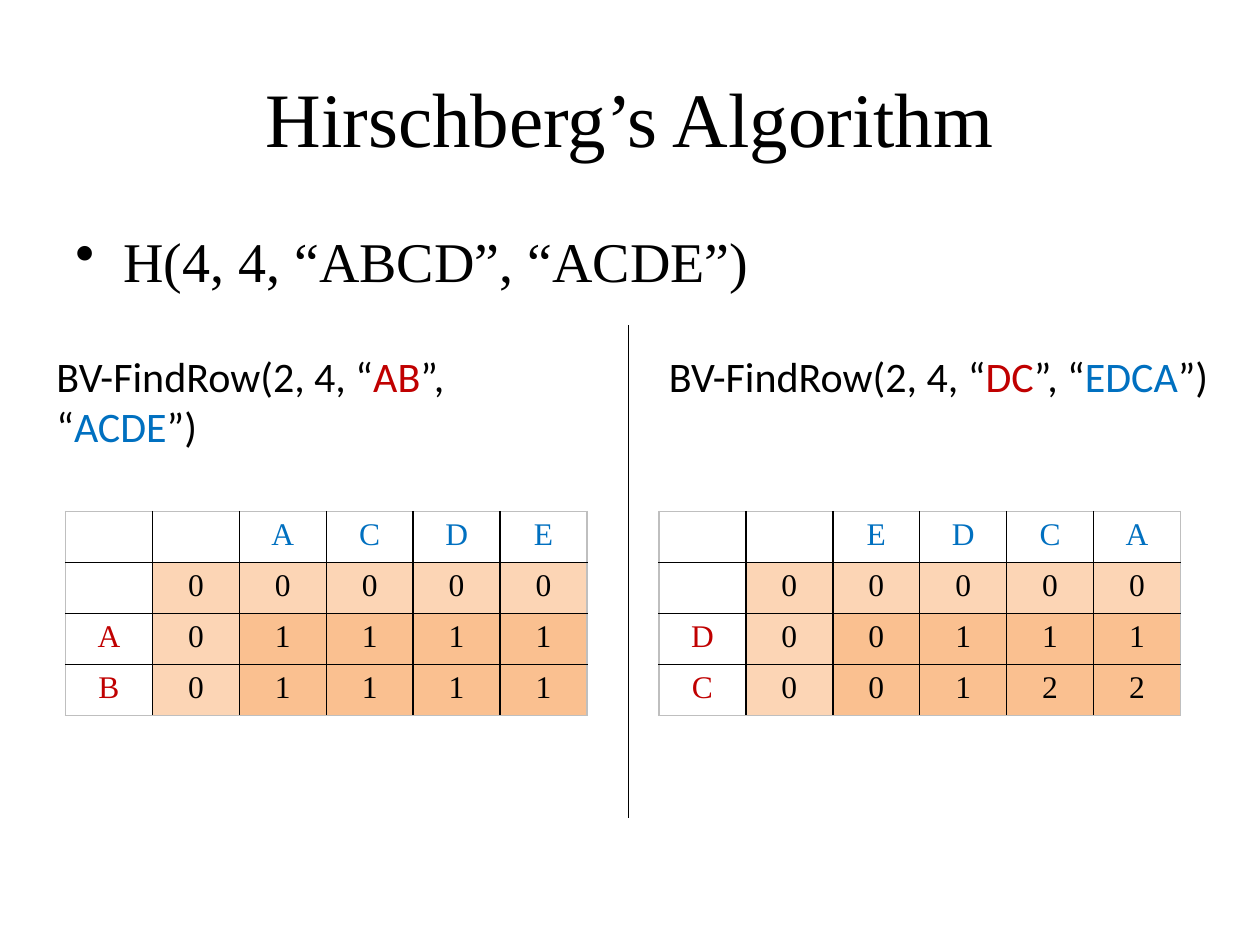
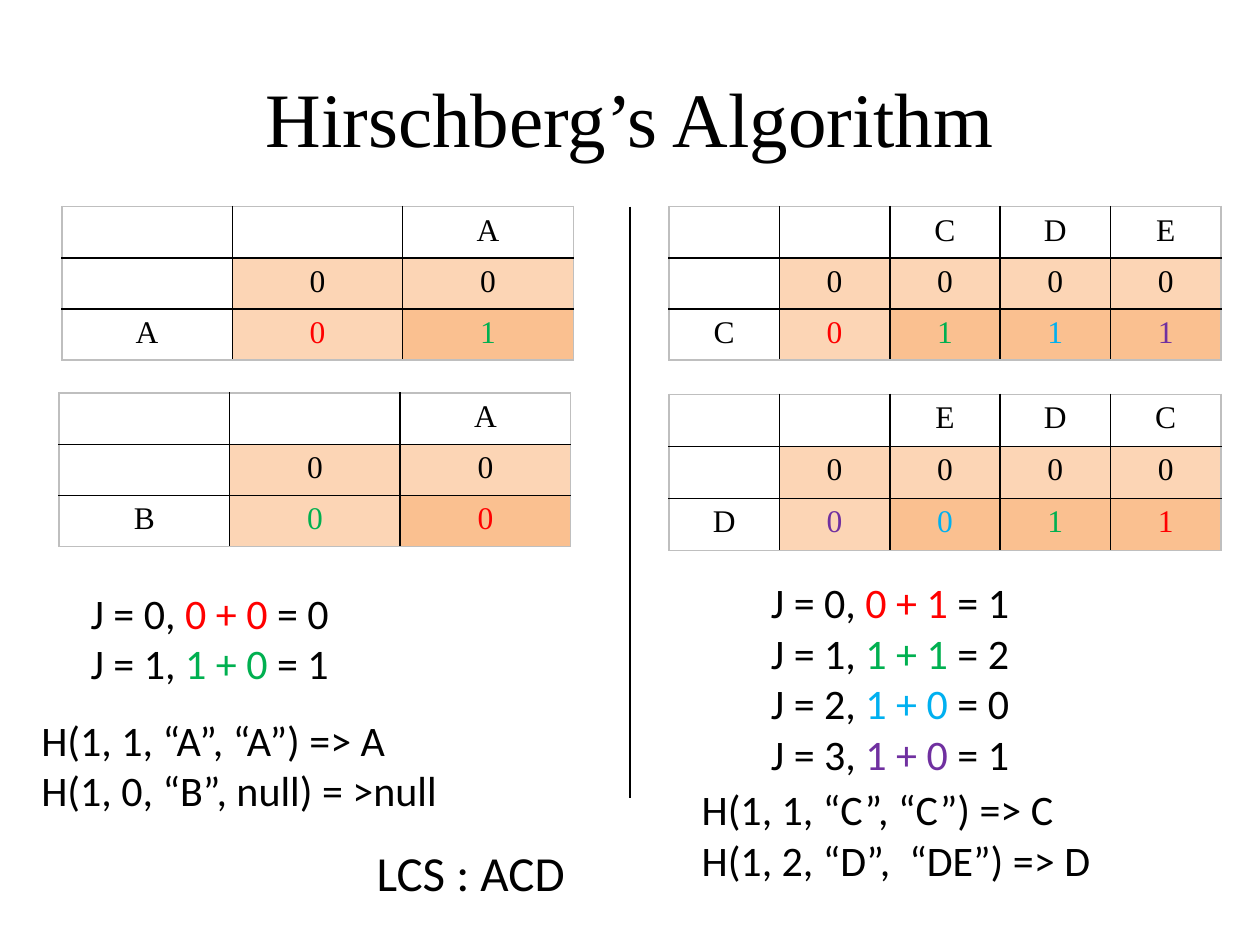
from dataclasses import dataclass

import lxml.etree
import pptx
import pptx.dml.color
import pptx.enum.shapes
import pptx.enum.text
import pptx.oxml.ns
import pptx.presentation
import pptx.slide
import pptx.table
import pptx.text.text
import pptx.util
from pptx.util import Inches

COLORS = {
    "black": "000000",
    "white": "FFFFFF",
    "frame": "BFBFBF",
    "base": "FCD5B5",
    "score": "FAC090",
    "blue": "0070C0",
    "crimson": "C00000",
    "red": "FF0000",
    "green": "00B050",
    "sky": "00B0F0",
    "purple": "7030A0",
}
STEP_COLORS = ("red", "green", "sky", "purple")
SERIF = "Times New Roman"
SANS = "Calibri"
ALIGN = pptx.enum.text.PP_ALIGN
ANCHOR = pptx.enum.text.MSO_ANCHOR

Line = tuple[tuple[str, str], ...]


@dataclass(frozen=True)
class Note:
    left: float
    top: float
    width: float
    height: float
    lines: tuple[Line, ...]
    size: int = 24
    font: str = SANS
    wrap: bool = False
    align: ALIGN = ALIGN.LEFT
    anchor: ANCHOR = ANCHOR.TOP
    bullet: bool = False


@dataclass(frozen=True)
class ScoreGrid:
    left: float
    top: float
    width: float
    height: float
    columns: str
    scores: tuple[tuple[str, str], ...]
    column_color: str = "black"
    label_color: str = "black"
    score_colors: tuple[str, ...] = ()


@dataclass(frozen=True)
class Divider:
    x: float
    top: float
    bottom: float


def rgb(color: str) -> pptx.dml.color.RGBColor:
    return pptx.dml.color.RGBColor.from_string(COLORS[color])


def plain(text: str) -> Line:
    return ((text, "black"),)


def call_line(rows: str, columns: str) -> Line:
    return (
        ("BV-FindRow(2, 4, “", "black"),
        (rows, "crimson"),
        ("”, “", "black"),
        (columns, "blue"),
        ("”)", "black"),
    )


def sum_lines(*sums: tuple[str, int]) -> tuple[Line, ...]:
    return tuple(
        ((f"J = {j}, ", "black"), (f"{terms} ", STEP_COLORS[j]), (f"= {total}", "black"))
        for j, (terms, total) in enumerate(sums)
    )


def style_font(font: pptx.text.text.Font, name: str, size: int, color: str) -> None:
    font.name = name
    font.size = pptx.util.Pt(size)
    font.color.rgb = rgb(color)


def add_bullet(paragraph: pptx.text.text._Paragraph) -> None:
    properties = paragraph._p.get_or_add_pPr()
    properties.set("marL", str(Inches(0.38)))
    properties.set("indent", str(Inches(-0.38)))
    mark = lxml.etree.SubElement(properties, pptx.oxml.ns.qn("a:buChar"))
    mark.set("char", "•")


def add_note(slide: pptx.slide.Slide, note: Note) -> None:
    box = slide.shapes.add_textbox(
        Inches(note.left), Inches(note.top), Inches(note.width), Inches(note.height)
    )
    frame = box.text_frame
    frame.word_wrap = note.wrap
    frame.vertical_anchor = note.anchor
    for index, line in enumerate(note.lines):
        paragraph = frame.add_paragraph() if index else frame.paragraphs[0]
        if note.bullet:
            add_bullet(paragraph)
        paragraph.alignment = note.align
        for text, color in line:
            run = paragraph.add_run()
            run.text = text
            style_font(run.font, note.font, note.size, color)


def add_border(cell: pptx.table._Cell, side: str, color: str) -> None:
    qn = pptx.oxml.ns.qn
    border = lxml.etree.SubElement(cell._tc.get_or_add_tcPr(), qn(f"a:ln{side}"))
    border.set("w", str(pptx.util.Pt(1)))
    fill = lxml.etree.SubElement(border, qn("a:solidFill"))
    lxml.etree.SubElement(fill, qn("a:srgbClr")).set("val", COLORS[color])


def cell_colors(grid: ScoreGrid, row: int, column: int) -> tuple[str, str]:
    if row == 0:
        return grid.column_color, "white"
    if column == 0:
        return grid.label_color, "white"
    fill = "base" if row == 1 or column == 1 else "score"
    if row > 1 and grid.score_colors:
        return grid.score_colors[column - 1], fill
    return "black", fill


def add_grid(slide: pptx.slide.Slide, grid: ScoreGrid) -> None:
    texts = [
        ["", "", *grid.columns],
        ["", *"0" * (len(grid.columns) + 1)],
        *([label, *values] for label, values in grid.scores),
    ]
    last_row, last_column = len(texts) - 1, len(texts[0]) - 1
    table = slide.shapes.add_table(
        len(texts), len(texts[0]),
        Inches(grid.left), Inches(grid.top), Inches(grid.width), Inches(grid.height),
    ).table
    table.first_row = False
    table.horz_banding = False
    for row, values in enumerate(texts):
        for column, text in enumerate(values):
            cell = table.cell(row, column)
            edges = {
                "L": column == 0,
                "R": column == last_column,
                "T": row == 0,
                "B": row == last_row,
            }
            for side, outer in edges.items():
                add_border(cell, side, "frame" if outer else "black")
            color, fill = cell_colors(grid, row, column)
            cell.fill.solid()
            cell.fill.fore_color.rgb = rgb(fill)
            paragraph = cell.text_frame.paragraphs[0]
            paragraph.text = text
            paragraph.alignment = ALIGN.CENTER
            for run in paragraph.runs:
                style_font(run.font, SERIF, 18, color)


def add_divider(slide: pptx.slide.Slide, divider: Divider) -> None:
    connector = slide.shapes.add_connector(
        pptx.enum.shapes.MSO_CONNECTOR.STRAIGHT,
        Inches(divider.x), Inches(divider.top), Inches(divider.x), Inches(divider.bottom),
    )
    connector.line.color.rgb = rgb("black")
    connector.line.width = pptx.util.Pt(0.75)
    lxml.etree.SubElement(connector._element.spPr, pptx.oxml.ns.qn("a:effectLst"))


TITLE = Note(0.5, 0.3, 9, 1.25, (plain("Hirschberg’s Algorithm"),), 44, SERIF,
             wrap=True, align=ALIGN.CENTER, anchor=ANCHOR.MIDDLE)

SPLIT_GRIDS = (
    ScoreGrid(0.52, 4.06, 4.14, 1.62, "ACDE", (("A", "01111"), ("B", "01111")),
              "blue", "crimson"),
    ScoreGrid(5.23, 4.06, 4.14, 1.62, "EDCA", (("D", "00111"), ("C", "00122")),
              "blue", "crimson"),
)
SPLIT_NOTES = (
    Note(0.5, 1.75, 9, 4.95, (plain("H(4, 4, “ABCD”, “ACDE”)"),), 32, SERIF,
         wrap=True, bullet=True),
    Note(0.35, 2.73, 4.4, 0.91, (call_line("AB", "ACDE"),), wrap=True),
    Note(5.21, 2.73, 4.53, 0.5, (call_line("DC", "EDCA"),)),
)

MERGE_GRIDS = (
    ScoreGrid(0.49, 1.64, 4.06, 1.22, "A", (("A", "01"),), score_colors=STEP_COLORS[:2]),
    ScoreGrid(0.47, 3.12, 4.06, 1.22, "A", (("B", "00"),),
              score_colors=STEP_COLORS[1::-1]),
    ScoreGrid(5.31, 1.64, 4.38, 1.22, "CDE", (("C", "0111"),), score_colors=STEP_COLORS),
    ScoreGrid(5.31, 3.13, 4.38, 1.24, "EDC", (("D", "0011"),),
              score_colors=STEP_COLORS[::-1]),
)
MERGE_NOTES = (
    Note(0.62, 4.61, 2.11, 0.91, sum_lines(("0 + 0", 0), ("1 + 0", 1))),
    Note(6.02, 4.53, 2.11, 1.72,
         sum_lines(("0 + 1", 1), ("1 + 1", 2), ("1 + 0", 0), ("1 + 0", 1))),
    Note(0.23, 5.62, 3.37, 0.91,
         (plain("H(1, 1, “A”, “A”) => A"), plain("H(1, 0, “B”, null) = >null"))),
    Note(5.47, 6.17, 3.31, 0.91,
         (plain("H(1, 1, “C”, “C”) => C"), plain("H(1, 2, “D”,  “DE”) => D"))),
    Note(2.89, 6.64, 1.71, 0.57, (plain("LCS : ACD"),), 28),
)


def add_step(
    deck: pptx.presentation.Presentation,
    grids: tuple[ScoreGrid, ...],
    notes: tuple[Note, ...],
    divider: Divider,
) -> None:
    slide = deck.slides.add_slide(deck.slide_layouts[6])
    add_note(slide, TITLE)
    for grid in grids:
        add_grid(slide, grid)
    for note in notes:
        add_note(slide, note)
    add_divider(slide, divider)


def main() -> None:
    deck = pptx.Presentation()
    deck.slide_width = Inches(10)
    deck.slide_height = Inches(7.5)
    add_step(deck, SPLIT_GRIDS, SPLIT_NOTES, Divider(4.99, 2.58, 6.49))
    add_step(deck, MERGE_GRIDS, MERGE_NOTES, Divider(5, 1.64, 6.33))
    deck.save("out.pptx")


if __name__ == "__main__":
    main()
